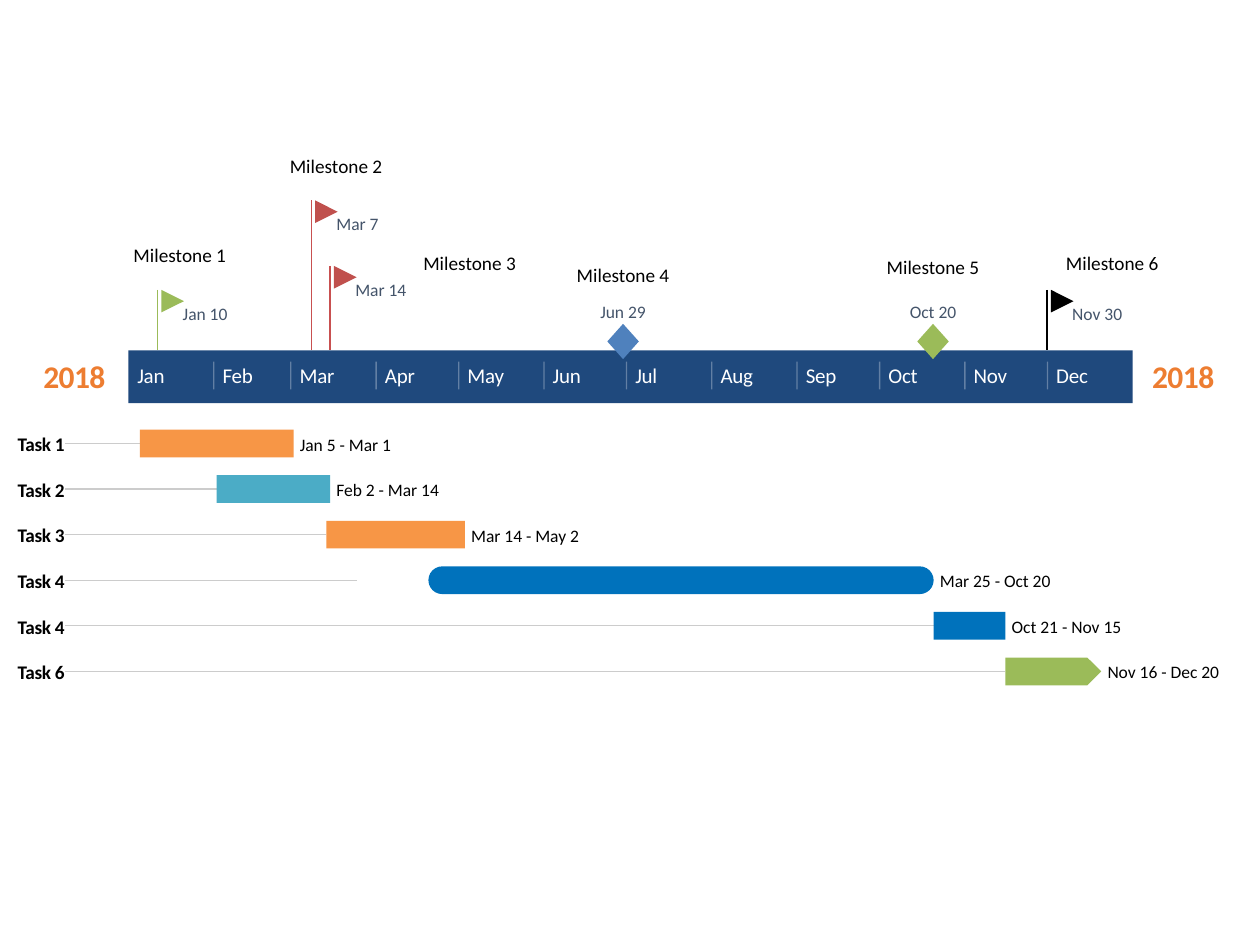
from dataclasses import dataclass
from itertools import accumulate
from lxml.etree import SubElement
from pptx import Presentation
from pptx.dml.color import RGBColor
from pptx.enum.shapes import MSO_CONNECTOR, MSO_SHAPE
from pptx.enum.text import MSO_ANCHOR, PP_ALIGN
from pptx.oxml.ns import qn
from pptx.util import Inches, Pt


@dataclass(frozen=True)
class Theme:
    font: str = "Calibri"
    white: str = "FFFFFF"
    black: str = "000000"
    navy: str = "1F497D"
    slate: str = "44546A"
    rule: str = "CCCCCC"
    year: str = "ED7D31"
    amber: str = "F79646"
    teal: str = "4BACC6"
    blue: str = "0072BC"
    steel: str = "4F81BD"
    green: str = "9BBB59"
    red: str = "C0504D"
    stem: str = "C85050"
    big: int = 18
    month: int = 12
    name: int = 11
    date: int = 10


@dataclass(frozen=True)
class Box:
    left: float
    top: float
    width: float
    height: float

    def place(self):
        return [Inches(n) for n in (self.left, self.top, self.width, self.height)]


THEME = Theme()


def add_text(slide, box, text, size, color, bold=False, align=PP_ALIGN.LEFT, gap=0):
    frame = slide.shapes.add_textbox(*box.place()).text_frame
    frame.margin_left = frame.margin_right = frame.margin_top = frame.margin_bottom = 0
    frame.vertical_anchor = MSO_ANCHOR.MIDDLE
    frame.word_wrap = True
    frame.text = text
    para = frame.paragraphs[0]
    para.alignment = align
    run = para.runs[0]
    run.font.name = THEME.font
    run.font.size = Pt(size)
    run.font.bold = bold
    run.font.color.rgb = RGBColor.from_string(color)
    if gap:
        run._r.get_or_add_rPr().set("spc", str(gap))


def add_form(slide, kind, box, color):
    shape = slide.shapes.add_shape(kind, *box.place())
    shape.shadow.inherit = False
    shape.fill.solid()
    shape.fill.fore_color.rgb = RGBColor.from_string(color)
    shape.line.fill.background()
    return shape


def add_line(slide, x1, y1, x2, y2, color, alpha=None):
    line = slide.shapes.add_connector(
        MSO_CONNECTOR.STRAIGHT, Inches(x1), Inches(y1), Inches(x2), Inches(y2))
    line.line.width = Pt(0.75)
    line.line.color.rgb = RGBColor.from_string(color)
    props = line._element.spPr
    if alpha:
        tint = props.find(".//" + qn("a:srgbClr"))
        SubElement(tint, qn("a:alpha")).set("val", str(alpha * 1000))
    SubElement(props, qn("a:effectLst"))


def add_band(slide, box, year):
    add_form(slide, MSO_SHAPE.RECTANGLE, box, THEME.navy)
    for left in (box.left - 0.77, box.left + box.width + 0.06):
        add_text(slide, Box(left, box.top + 0.05, 0.68, 0.3), year, THEME.big, THEME.year,
                 bold=True, align=PP_ALIGN.CENTER, gap=-30)
    names = "Jan Feb Mar Apr May Jun Jul Aug Sep Oct Nov Dec".split()
    days = [0, 31, 28, 31, 30, 31, 30, 31, 31, 30, 31, 30]
    for name, day in zip(names, accumulate(days)):
        left = box.left + day * box.width / 365
        if day:
            add_line(slide, left, box.top + 0.09, left, box.top + 0.31, THEME.white, 30)
        add_text(slide, Box(left + 0.07, box.top + 0.1, 0.4, 0.2), name, THEME.month,
                 THEME.white, gap=-15)


def add_flag(slide, box, name, date, shift, fill, stem):
    add_line(slide, box.left, box.top, box.left, box.top + box.height, stem)
    flag = add_form(slide, MSO_SHAPE.FLOWCHART_MERGE,
                    Box(box.left + 0.03, box.top, 0.18, 0.18), fill)
    flag.rotation = 270
    add_text(slide, Box(box.left + shift[0], box.top + shift[1], 0.74, 0.37), name,
             THEME.name, THEME.black)
    add_text(slide, Box(box.left + 0.2, box.top + 0.02, box.width, 0.33), date,
             THEME.date, THEME.slate)


def add_gem(slide, box, name, date, rise, fill):
    add_form(slide, MSO_SHAPE.DIAMOND, box, fill)
    mid = box.left + box.width / 2
    add_text(slide, Box(mid - 0.37, box.top - rise, 0.74, 0.37), name, THEME.name,
             THEME.black, align=PP_ALIGN.CENTER)
    add_text(slide, Box(mid - 0.2, box.top - 0.26, 0.4, 0.33), date, THEME.date,
             THEME.slate, align=PP_ALIGN.CENTER)


def add_task(slide, box, name, dates, start, width, color, kind, end):
    mid = box.top + box.height / 2
    right = box.left + start + width
    add_line(slide, box.left + 0.38, mid, box.left + end, mid, THEME.rule)
    bar = add_form(slide, kind, Box(box.left + start, box.top, width, box.height), color)
    if len(bar.adjustments):
        bar.adjustments[0] = 0.5
    add_text(slide, Box(right + 0.05, mid - 0.16, 0.9, 0.33), dates, THEME.date, THEME.black)
    add_text(slide, Box(box.left, mid - 0.18, 0.39, 0.37), name, THEME.name, THEME.black,
             bold=True, gap=-20)


def add_tasks(slide, box, tasks):
    step = box.height / len(tasks)
    for row, task in enumerate(tasks):
        add_task(slide, Box(box.left, box.top + row * step, box.width, 0.22), *task)


def build():
    deck = Presentation()
    deck.slide_width, deck.slide_height = Inches(10), Inches(7.5)
    slide = deck.slides.add_slide(deck.slide_layouts[6])
    band = Box(1.02, 2.78, 7.97, 0.42)
    add_band(slide, band, "2018")

    flags = [
        (1.25, 2.3, "Milestone 1", "Jan 10", (-0.19, -0.46), THEME.green, THEME.green),
        (2.47, 1.59, "Milestone 2", "Mar 7", (-0.17, -0.46), THEME.red, THEME.stem),
        (2.62, 2.11, "Milestone 3", "Mar 14", (0.74, -0.21), THEME.red, THEME.stem),
        (8.31, 2.3, "Milestone 6", "Nov 30", (0.15, -0.4), THEME.black, THEME.black),
    ]
    for left, top, *rest in flags:
        add_flag(slide, Box(left, top, 0.42, band.top - top), *rest)

    gems = [
        (4.82, "Milestone 4", "Jun 29", 0.57, THEME.steel),
        (7.28, "Milestone 5", "Oct 20", 0.64, THEME.green),
    ]
    for left, *rest in gems:
        add_gem(slide, Box(left, band.top - 0.21, 0.25, 0.28), *rest)

    rect, oval, arrow = MSO_SHAPE.RECTANGLE, MSO_SHAPE.ROUNDED_RECTANGLE, MSO_SHAPE.PENTAGON
    add_tasks(slide, Box(0.14, 3.41, 9.54, 2.17), [
        ("Task 1", "Jan 5 - Mar 1", 0.97, 1.22, THEME.amber, rect, 0.97),
        ("Task 2", "Feb 2 - Mar 14", 1.58, 0.9, THEME.teal, rect, 1.58),
        ("Task 3", "Mar 14 - May 2", 2.45, 1.1, THEME.amber, rect, 2.45),
        ("Task 4", "Mar 25 - Oct 20", 3.26, 4.01, THEME.blue, oval, 2.69),
        ("Task 4", "Oct 21 - Nov 15", 7.27, 0.57, THEME.blue, rect, 7.27),
        ("Task 6", "Nov 16 - Dec 20", 7.84, 0.76, THEME.green, arrow, 7.84),
    ])
    deck.save("out.pptx")


build()
